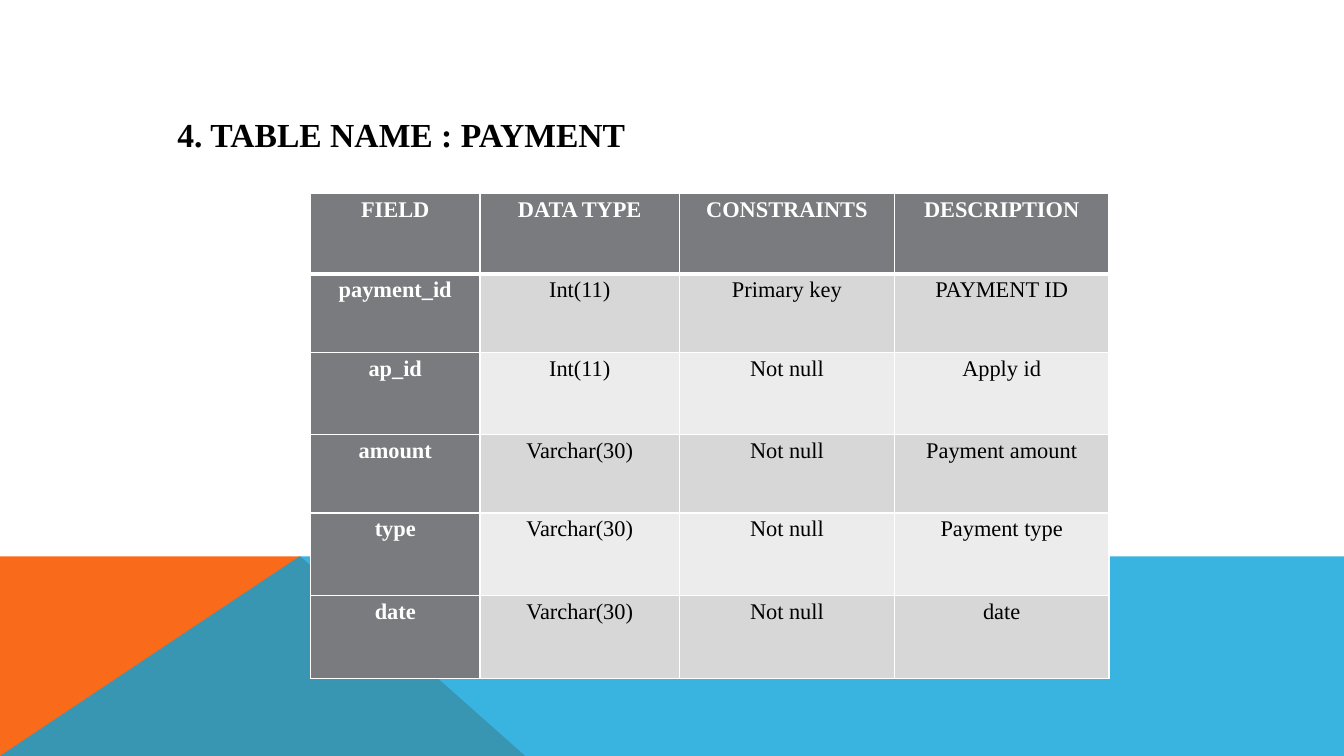
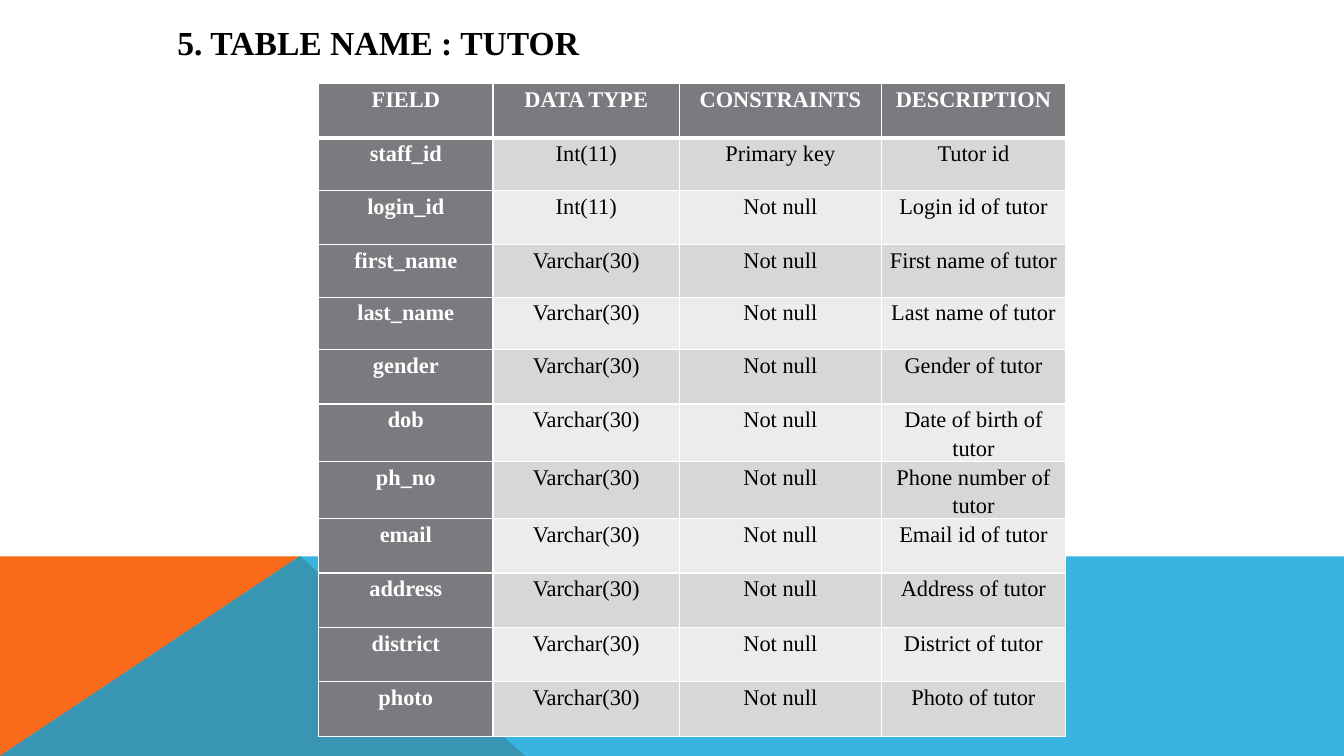
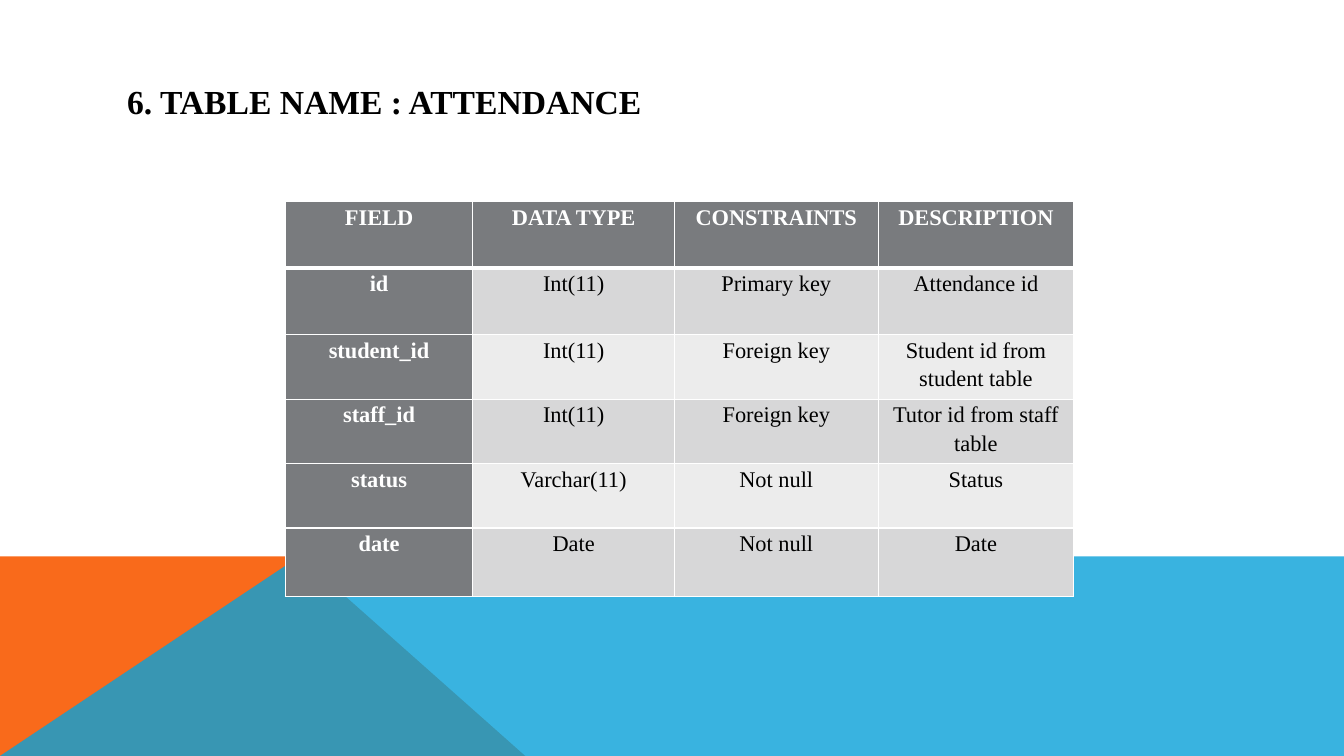
import pptx
import pptx.dml.color
import pptx.enum.text
import pptx.oxml
import pptx.oxml.ns
import pptx.util
import lxml.etree

Inches = pptx.util.Inches
Pt = pptx.util.Pt
Align = pptx.enum.text.PP_ALIGN
Anchor = pptx.enum.text.MSO_ANCHOR
qn = pptx.oxml.ns.qn

FONT = "Times New Roman"
SLIDE_WIDTH, SLIDE_HEIGHT = 13.33, 7.5
BAND_TOP = 5.52
COLORS = {
    "orange": "F96A1B",
    "blue": "08A1D9",
    "heading": "797B7E",
    "odd_row": "D7D7D8",
    "even_row": "ECECEC",
    "white": "FFFFFF",
    "black": "000000",
}
HEADINGS = ["FIELD", "DATA TYPE", "CONSTRAINTS", "DESCRIPTION"]

SECTIONS = [
    {
        "title": "4. TABLE NAME : PAYMENT",
        "title_box": (1.66, 1.08, 4.69, 0.5),
        "corner": (3.08, 1.92),
        "widths": [1.68, 1.98, 2.13, 2.13],
        "heights": [0.8, 0.78, 0.81, 0.78, 0.82, 0.82],
        "fields": [
            ["payment_id", "Int(11)", "Primary key", "PAYMENT ID"],
            ["ap_id", "Int(11)", "Not null", "Apply id"],
            ["amount", "Varchar(30)", "Not null", "Payment amount"],
            ["type", "Varchar(30)", "Not null", "Payment type"],
            ["date", "Varchar(30)", "Not null", "date"],
        ],
    },
    {
        "title": "5. TABLE NAME : TUTOR",
        "title_box": (1.66, 0.17, 4.23, 0.5),
        "corner": (3.16, 0.83),
        "widths": [1.73, 1.85, 2, 1.83],
        "heights": [0.54, 0.52, 0.54, 0.52, 0.52] + [0.54] * 7,
        "fields": [
            ["staff_id", "Int(11)", "Primary key", "Tutor id"],
            ["login_id", "Int(11)", "Not null", "Login id of tutor"],
            ["first_name", "Varchar(30)", "Not null", "First name of tutor"],
            ["last_name", "Varchar(30)", "Not null", "Last name of tutor"],
            ["gender", "Varchar(30)", "Not null", "Gender of tutor"],
            ["dob", "Varchar(30)", "Not null", "Date of birth of tutor"],
            ["ph_no", "Varchar(30)", "Not null", "Phone number of tutor"],
            ["email", "Varchar(30)", "Not null", "Email id of tutor"],
            ["address", "Varchar(30)", "Not null", "Address of tutor"],
            ["district", "Varchar(30)", "Not null", "District of tutor"],
            ["photo", "Varchar(30)", "Not null", "Photo of tutor"],
        ],
    },
    {
        "title": "6. TABLE NAME : ATTENDANCE",
        "title_box": (1.16, 0.75, 5.36, 0.5),
        "corner": (2.83, 2),
        "widths": [1.86, 2, 2.02, 1.94],
        "heights": [0.66, 0.66, 0.64, 0.64, 0.64, 0.68],
        "fields": [
            ["id", "Int(11)", "Primary key", "Attendance id"],
            ["student_id", "Int(11)", "Foreign key", "Student id from student table"],
            ["staff_id", "Int(11)", "Foreign key", "Tutor id from staff table"],
            ["status", "Varchar(11)", "Not null", "Status"],
            ["date", "Date", "Not null", "Date"],
        ],
    },
]


def rgb(name):
    """Return the palette colour with this name."""
    return pptx.dml.color.RGBColor.from_string(COLORS[name])


def write_text(frame, text, size=16, color="black", bold=False, align=Align.CENTER, spacing=1.15):
    """Write one formatted paragraph into a text frame."""
    paragraph = frame.paragraphs[0]
    paragraph.alignment = align
    paragraph.line_spacing = spacing
    run = paragraph.add_run()
    run.text = text
    run.font.name = FONT
    run.font.size = Pt(size)
    run.font.bold = bold
    run.font.color.rgb = rgb(color)


def add_band(slide, layout, points, color, opacity=100):
    """Draw a filled outline and hand it to the layout that all slides share."""
    corners = [(Inches(x), Inches(y)) for x, y in points]
    outline = slide.shapes.build_freeform(*corners[0])
    outline.add_line_segments(corners[1:], close=True)
    band = outline.convert_to_shape()
    band.shadow.inherit = False
    band.line.fill.background()
    band.fill.solid()
    band.fill.fore_color.rgb = rgb(color)
    if opacity < 100:
        paint = band.element.spPr.find(qn("a:solidFill"))[0]
        lxml.etree.SubElement(paint, qn("a:alpha")).set("val", str(opacity * 1000))
    layout.shapes.element.append(band.element)


def add_bands(slide, layout):
    """Place the orange and the translucent blue band at the foot of the layout."""
    foot = (0, SLIDE_HEIGHT)
    add_band(slide, layout, [foot, (0, BAND_TOP), (2.98, BAND_TOP), (5.21, SLIDE_HEIGHT)], "orange")
    add_band(
        slide,
        layout,
        [foot, (2.97, BAND_TOP), (SLIDE_WIDTH, BAND_TOP), (SLIDE_WIDTH, SLIDE_HEIGHT)],
        "blue",
        opacity=80,
    )


def add_title(slide, text, box):
    """Move the title placeholder to the box and fill it."""
    title = slide.shapes.title
    title.left, title.top, title.width, title.height = map(Inches, box)
    frame = title.text_frame
    frame.word_wrap = False
    frame.auto_size = pptx.enum.text.MSO_AUTO_SIZE.NONE
    frame.vertical_anchor = Anchor.MIDDLE
    write_text(frame, text, size=24, bold=True, align=Align.LEFT, spacing=1)


def set_borders(cell, top=1, bottom=1):
    """Give a cell white borders with the given top and bottom weights."""
    properties = cell._tc.get_or_add_tcPr()
    for side, weight in (("L", 1), ("R", 1), ("T", top), ("B", bottom)):
        border = lxml.etree.SubElement(properties, qn("a:ln" + side))
        border.set("w", str(Pt(weight)))
        paint = lxml.etree.SubElement(border, qn("a:solidFill"))
        lxml.etree.SubElement(paint, qn("a:srgbClr")).set("val", COLORS["white"])


def format_cell(cell, text, row, column):
    """Fill a cell according to its row and column."""
    heading = row == 0 or column == 0
    set_borders(cell, top=3 if row == 1 else 1, bottom=3 if row == 0 else 1)
    cell.fill.solid()
    cell.fill.fore_color.rgb = rgb("heading" if heading else "odd_row" if row % 2 else "even_row")
    cell.margin_left = cell.margin_right = Inches(0.07)
    cell.margin_top = cell.margin_bottom = 0
    cell.vertical_anchor = Anchor.TOP
    write_text(cell.text_frame, text, color="white" if heading else "black", bold=heading)


def add_field_table(slide, corner, widths, heights, fields):
    """Place a database table description with its top left at the corner."""
    rows = [HEADINGS] + fields
    box = (*corner, sum(widths), sum(heights))
    table = slide.shapes.add_table(len(rows), len(HEADINGS), *map(Inches, box)).table
    for column, width in zip(table.columns, widths):
        column.width = Inches(width)
    for line, height in zip(table.rows, heights):
        line.height = Inches(height)
    for row, texts in enumerate(rows):
        for column, text in enumerate(texts):
            format_cell(table.cell(row, column), text, row, column)


def main():
    """Build and save the presentation."""
    deck = pptx.Presentation()
    deck.slide_width = Inches(SLIDE_WIDTH)
    deck.slide_height = Inches(SLIDE_HEIGHT)
    layout = deck.slide_layouts[5]
    slides = [deck.slides.add_slide(layout) for section in SECTIONS]
    add_bands(slides[0], layout)
    for slide, section in zip(slides, SECTIONS):
        add_field_table(
            slide, section["corner"], section["widths"], section["heights"], section["fields"]
        )
        add_title(slide, section["title"], section["title_box"])
    deck.save("out.pptx")


if __name__ == "__main__":
    main()
